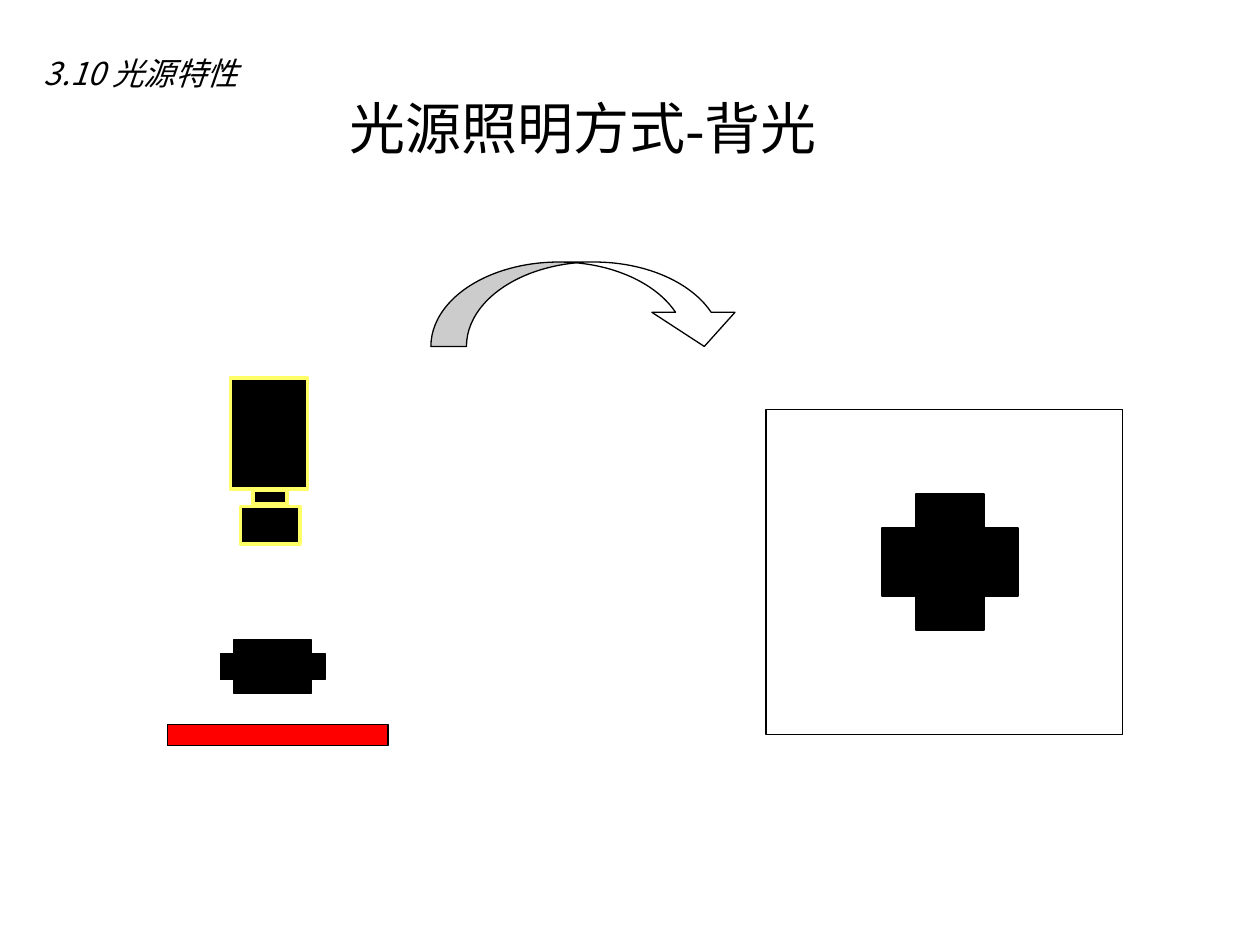
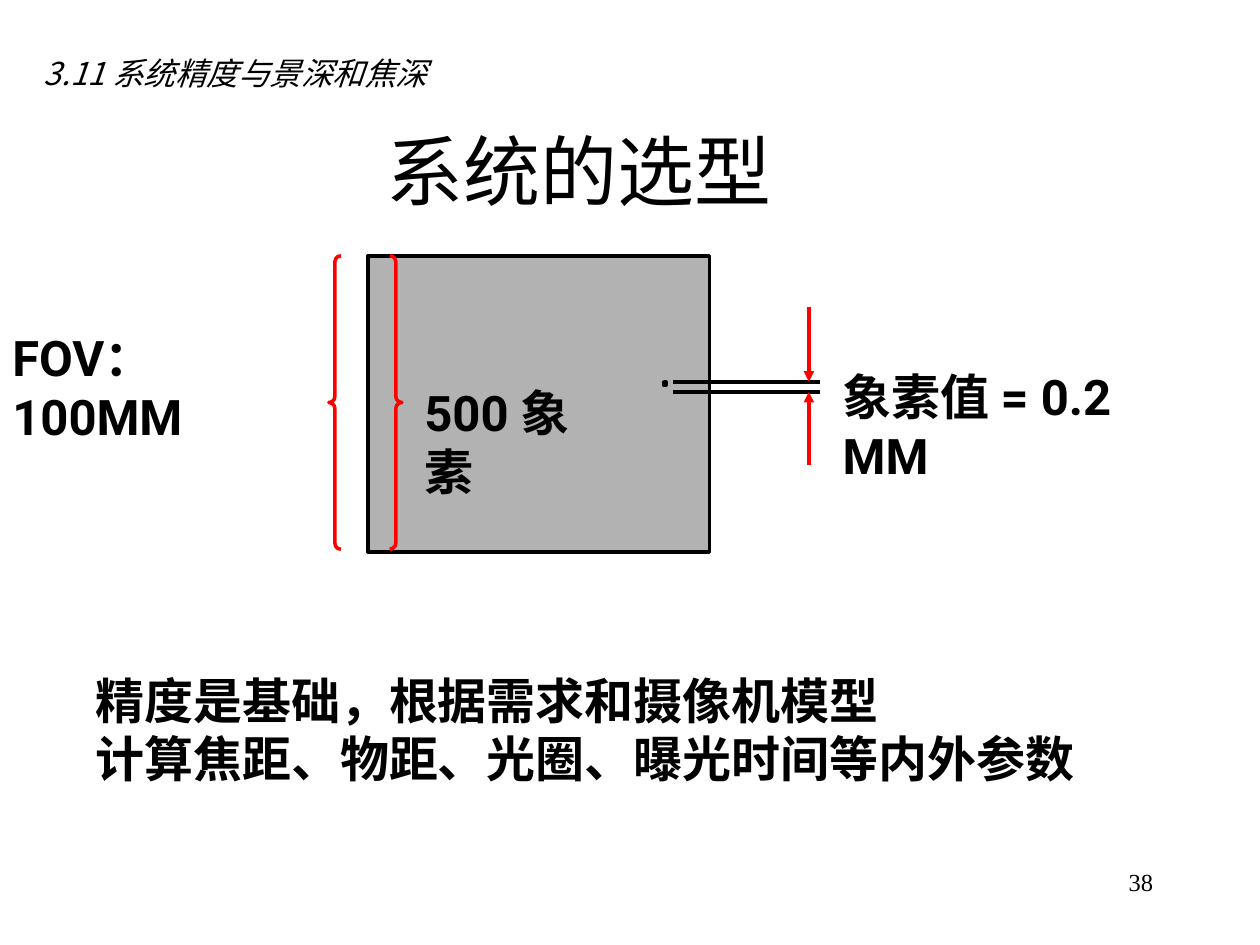
from dataclasses import dataclass

from lxml import etree
from pptx import Presentation
from pptx import util as u
from pptx.dml.color import RGBColor
from pptx.enum import shapes, text
from pptx.oxml import ns


@dataclass(frozen=True)
class Theme:
    black: str = "000000"
    white: str = "FFFFFF"
    red: str = "FF0000"
    yellow: str = "FFFF66"
    gray: str = "B2B2B2"
    cjk: str = "Noto Sans CJK SC"
    serif: str = "Times New Roman"
    sans: str = "Roboto"
    section: int = 18
    heading: int = 32
    title: int = 44
    label: int = 28
    number: int = 14
    thin: float = 0.75
    thick: float = 2


theme = Theme()
SHAPE = shapes.MSO_SHAPE
ALIGN = text.PP_ALIGN
ANCHOR = text.MSO_ANCHOR


def add_text(page, words, at, size, font=theme.serif, bold=False, italic=False,
             align=ALIGN.LEFT, anchor=ANCHOR.TOP, wrap=True, leading=None):
    """Add a text box; each line of words becomes a paragraph."""
    box = page.shapes.add_textbox(*map(u.Inches, at))
    frame = box.text_frame
    frame.word_wrap = wrap
    frame.vertical_anchor = anchor
    for index, line in enumerate(words.split("\n")):
        para = frame.paragraphs[0] if index == 0 else frame.add_paragraph()
        para.alignment = align
        if leading:
            para.line_spacing = u.Pt(round(size * leading, 1))
        span = para.add_run()
        span.text = line
        span.font.size = u.Pt(size)
        span.font.bold = bold
        span.font.italic = italic
        span.font.color.rgb = RGBColor.from_string(theme.black)
        span.font.name = font
        east_asian = etree.SubElement(span.font._element, ns.qn("a:ea"))
        east_asian.set("typeface", theme.cjk)


def add_figure(parent, kind, at, fill, line=theme.black, width=theme.thin, adjust=()):
    """Add a preset shape to a page or a group."""
    figure = parent.shapes.add_shape(kind, *map(u.Inches, at))
    figure.shadow.inherit = False
    for index, value in enumerate(adjust):
        figure.adjustments[index] = value
    if fill:
        figure.fill.solid()
        figure.fill.fore_color.rgb = RGBColor.from_string(fill)
    else:
        figure.fill.background()
    figure.line.color.rgb = RGBColor.from_string(line)
    figure.line.width = u.Pt(width)


deck = Presentation()
deck.slide_width, deck.slide_height = u.Inches(10), u.Inches(7.5)

# Section names, shared style
pages = []
for section, width in (("3.10 光源特性", 2.94), ("3.11 系统精度与景深和焦深", 3.41)):
    page = deck.slides.add_slide(deck.slide_layouts[6])
    add_text(page, section, (0.25, 0.33, width, 0.5), theme.section,
             font=theme.cjk, italic=True, anchor=ANCHOR.MIDDLE)
    pages.append(page)
lighting, selection = pages

# Backlight: heading and arrow from setup to result
add_text(lighting, "光源照明方式-背光", (1.94, 0.65, 5.37, 0.99), theme.heading,
         align=ALIGN.CENTER, leading=1.3)
add_figure(lighting, SHAPE.CURVED_DOWN_ARROW, (3.42, 2.08, 2.5, 0.67), theme.white,
           adjust=(0.422, 0.984, 0.404))

# Backlight: resulting view
view = lighting.shapes.add_group_shape()
add_figure(view, SHAPE.RECTANGLE, (6.08, 3.25, 2.83, 2.58), theme.white)
add_figure(view, SHAPE.CROSS, (7, 3.92, 1.08, 1.08), theme.black, adjust=(0.25,))

# Backlight: workpiece, lamp and camera
setup = lighting.shapes.add_group_shape()
add_figure(setup, SHAPE.CROSS, (1.75, 5.08, 0.83, 0.42), theme.black, adjust=(0.25,))
add_figure(setup, SHAPE.RECTANGLE, (1.33, 5.75, 1.75, 0.17), theme.red)
for camera_part in ((1.83, 3, 0.61, 0.88), (2.01, 3.89, 0.27, 0.11), (1.91, 4.02, 0.47, 0.3)):
    add_figure(setup, SHAPE.RECTANGLE, camera_part, theme.black, theme.yellow, theme.thick)

# Selection: title and page number
add_text(selection, "系统的选型", (2.55, 0.72, 4.09, 1.25), theme.title,
         align=ALIGN.CENTER, anchor=ANCHOR.MIDDLE)
add_text(selection, "38", (7.17, 6.83, 2.08, 0.5), theme.number, align=ALIGN.RIGHT)

# Selection: field of view, one pixel and braces
add_figure(selection, SHAPE.RECTANGLE, (2.92, 2.03, 2.71, 2.35), theme.gray, width=theme.thick)
add_figure(selection, SHAPE.RECTANGLE, (5.27, 3.03, 0.02, 0.03), theme.black, width=theme.thick)

# Selection: pixel edges and the arrows that measure them
pixel_top, pixel_bottom = 3.03, 3.11
for start, end, color, arrow in (
    ((5.34, pixel_bottom), (6.51, pixel_bottom), theme.black, False),
    ((5.34, pixel_top), (6.51, pixel_top), theme.black, False),
    ((6.42, 2.44), (6.42, pixel_top), theme.red, True),
    ((6.42, 3.69), (6.42, pixel_bottom), theme.red, True),
):
    rule = selection.shapes.add_connector(shapes.MSO_CONNECTOR.STRAIGHT,
                                          *map(u.Inches, start + end))
    rule.line.color.rgb = RGBColor.from_string(color)
    rule.line.width = u.Pt(theme.thick)
    if arrow:
        etree.SubElement(rule.line._get_or_add_ln(), ns.qn("a:tailEnd")).set("type", "triangle")
    etree.SubElement(rule._element.spPr, ns.qn("a:effectLst"))

add_figure(selection, SHAPE.DOUBLE_BRACE, (2.61, 2.03, 0.58, 2.33), None, theme.red,
           theme.thick, adjust=(0.083,))

# Selection: labels and conclusion
for words, at in (
    ("FOV：100MM", (0, 2.55, 1.62, 0.37)),
    ("500 象素", (3.27, 2.99, 1.42, 0.37)),
    ("象素值 = 0.2 MM", (6.59, 2.86, 3, 0.57)),
):
    add_text(selection, words, at, theme.label, font=theme.sans, bold=True, leading=1.2)
add_text(selection, "精度是基础，根据需求和摄像机模型\n计算焦距、物距、光圈、曝光时间等内外参数",
         (0.66, 5.27, 8.06, 1.04), theme.label, bold=True, wrap=False, leading=1.2)

deck.save("out.pptx")
